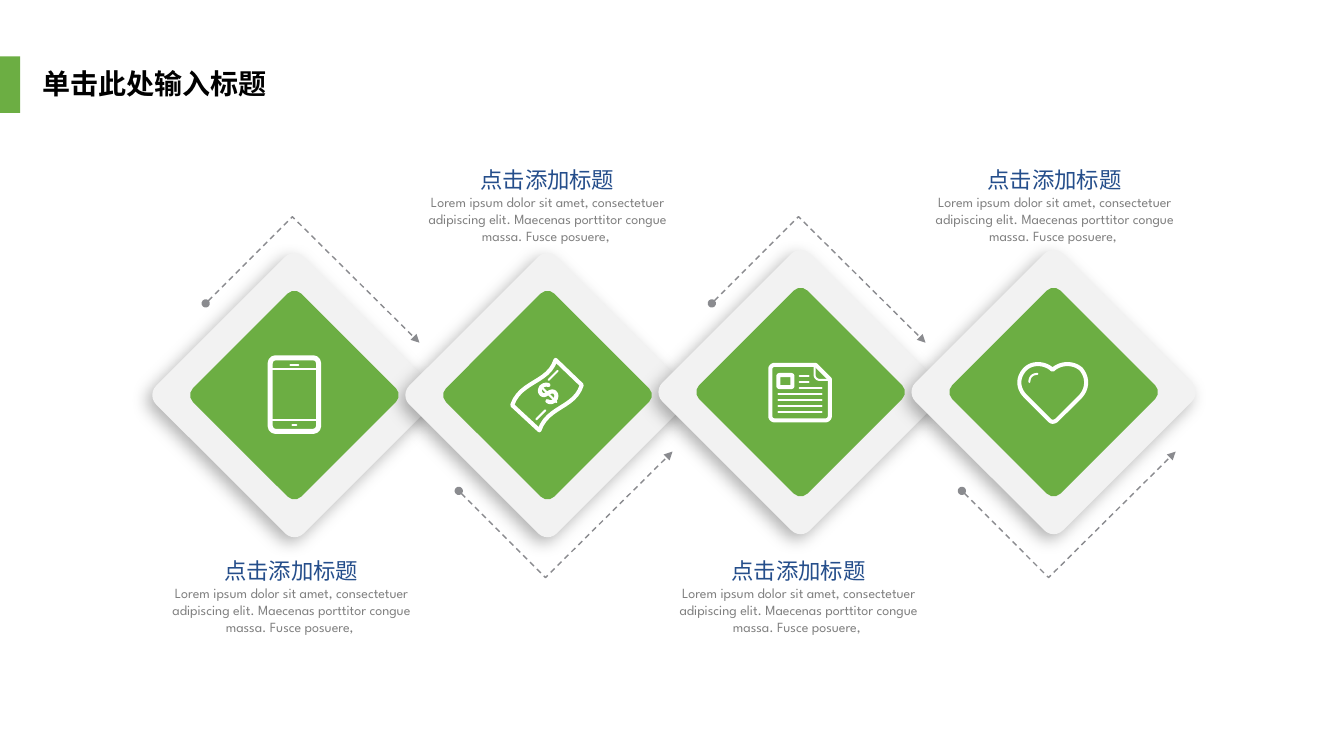
from dataclasses import dataclass

from lxml.etree import SubElement
from pptx import Presentation
from pptx.dml.color import RGBColor
from pptx.enum.dml import MSO_LINE_DASH_STYLE as Dash
from pptx.enum.shapes import MSO_CONNECTOR as Connector, MSO_SHAPE as Preset
from pptx.enum.text import MSO_AUTO_SIZE as AutoSize, PP_ALIGN as Align
from pptx.oxml.ns import qn
from pptx.util import Pt

PX = 9144
BODY = ("Lorem ipsum dolor sit amet, consectetuer adipiscing elit. "
        "Maecenas porttitor congue massa. Fusce posuere, ")


@dataclass(frozen=True)
class Theme:
    green: str = "6CAE43"
    frame: str = "F2F2F2"
    arrow: str = "8A8B8F"
    heading: str = "254E8B"
    body: str = "808080"
    black: str = "000000"
    white: str = "FFFFFF"
    cjk: str = "Noto Sans CJK SC"
    latin: str = "League Spartan"
    title_size: int = 20
    heading_size: int = 16
    body_size: int = 10


THEME = Theme()


def emu(*lengths):
    return [round(length * PX) for length in lengths]


def add_block(shapes, preset, box, color):
    block = shapes.add_shape(preset, *emu(*box))
    block.shadow.inherit = False
    block.fill.solid()
    block.fill.fore_color.rgb = RGBColor.from_string(color)
    block.line.fill.background()
    return block


def add_text(shapes, box, text, font, size, color, bold=False, align=Align.CENTER):
    box_shape = shapes.add_textbox(*emu(*box))
    frame = box_shape.text_frame
    frame.word_wrap = True
    frame.auto_size = AutoSize.SHAPE_TO_FIT_TEXT
    para = frame.paragraphs[0]
    para.alignment = align
    span = para.add_run()
    span.text = text
    span.font.name = font
    span.font.size = Pt(size)
    span.font.bold = bold
    span.font.color.rgb = RGBColor.from_string(color)
    SubElement(span.font._element, qn("a:ea"), typeface=font)


def style_line(shape, color, width):
    shape.line.color.rgb = RGBColor.from_string(color)
    shape.line.width = round(width * PX)
    return shape.line._get_or_add_ln()


def add_path(shapes, center, start, steps, closed=False):
    points, last = [start], start
    for step in steps:
        if len(step) == 2:
            points.append(step)
        else:
            first, second, end = step
            for n in range(1, 13):
                t = n / 12
                points.append(tuple(
                    (1 - t) ** 3 * a + 3 * (1 - t) ** 2 * t * b
                    + 3 * (1 - t) * t ** 2 * c + t ** 3 * d
                    for a, b, c, d in zip(last, first, second, end)))
        last = points[-1]
    placed = [emu(center[0] + x, center[1] + y) for x, y in points]
    builder = shapes.build_freeform(*placed[0], scale=1)
    builder.add_line_segments(placed[1:], close=closed)
    path = builder.convert_to_shape()
    path.shadow.inherit = False
    path.fill.background()
    return path


def add_stroke(shapes, center, width, start, steps, closed=False):
    path = add_path(shapes, center, start, steps, closed)
    ln = style_line(path, THEME.white, width)
    ln.set("cap", "rnd")
    SubElement(ln, qn("a:round"))


def add_bar(shapes, center, width, x1, y1, x2, y2):
    x, y = center
    bar = shapes.add_connector(Connector.STRAIGHT, *emu(x + x1, y + y1, x + x2, y + y2))
    style_line(bar, THEME.white, width).set("cap", "rnd")
    SubElement(bar._element.spPr, qn("a:effectLst"))


def add_rounded_outline(shapes, center, width, box, radius):
    left, top, wide, high = box
    outline = shapes.add_shape(
        Preset.ROUNDED_RECTANGLE, *emu(center[0] + left, center[1] + top, wide, high))
    outline.adjustments[0] = radius
    outline.shadow.inherit = False
    outline.fill.background()
    style_line(outline, THEME.white, width)


def draw_phone(shapes, center):
    add_rounded_outline(shapes, center, 5, (-24, -37, 48, 73), 0.11)
    for width, half, y in ((2, 22, -26), (2, 4, -30), (2, 22, 25), (2, 2, 30)):
        add_bar(shapes, center, width, -half, y, half, y)


def draw_banknote(shapes, center):
    add_stroke(shapes, center, 4, (-8, 35), [
        (-35, 10), ((-27, -14), (1, -12), (8, -35)),
        (34, -10), ((27, 13), (0, 11), (-8, 35))], closed=True)
    add_stroke(shapes, center, 4, (1, -10), [
        ((-5, -12), (-10, -5), (-6, -1)), ((-2, 3), (2, -6), (7, -3)),
        ((12, 1), (6, 10), (0, 6))])
    for bar in ((-7, -9, 9, 7), (-11, 24, -2, 15), (1, -15, 10, -24)):
        add_bar(shapes, center, 2, *bar)


def draw_newspaper(shapes, center):
    add_stroke(shapes, center, 4, (-26, -27), [
        (15, -27), (29, -13), (29, 24), ((29, 26), (27, 28), (25, 28)),
        (-26, 28), ((-28, 28), (-30, 26), (-30, 24)),
        (-30, -23), ((-30, -25), (-28, -27), (-26, -27))], closed=True)
    add_stroke(shapes, center, 2, (14, -25), [
        (14, -17), ((14, -14), (17, -12), (19, -12)), (27, -12)])
    add_rounded_outline(shapes, center, 4, (-22, -17, 14, 12), 0.1)
    rows = [(-1, 8), (-1, 8), (-1, 21)] + [(-22, 21)] * 4
    for row, (left, right) in enumerate(rows):
        y = -16 + 6 * row
        add_bar(shapes, center, 2, left, y, right, y)


def draw_heart(shapes, center):
    add_stroke(shapes, center, 4, (-1, -22), [
        ((6, -29), (19, -30), (27, -23)), ((34, -15), (34, -4), (27, 4)),
        (3, 28), ((0, 30), (-2, 30), (-4, 28)), (-28, 4),
        ((-36, -4), (-36, -15), (-28, -23)), ((-21, -30), (-8, -29), (-1, -22))],
        closed=True)
    add_stroke(shapes, center, 2, (-24, -10), [((-24, -15), (-21, -18), (-16, -18))])


def add_diamond(shapes, center, side, color):
    x, y = center
    diamond = add_block(shapes, Preset.ROUNDED_RECTANGLE,
                        (x - side / 2, y - side / 2, side, side), color)
    diamond.adjustments[0] = 0.063
    diamond.rotation = 45
    return diamond


def add_frame(shapes, center):
    frame = add_diamond(shapes, center, 207, THEME.frame)
    effects = frame._element.spPr.find(qn("a:effectLst"))
    shadow = SubElement(effects, qn("a:outerShdw"), blurRad=str(Pt(12)), dist=str(Pt(5)),
                        dir=str(135 * 60000), algn="ctr", rotWithShape="0")
    tone = SubElement(shadow, qn("a:srgbClr"), val=THEME.black)
    SubElement(tone, qn("a:alpha"), val="30000")


def add_arrow(shapes, center, side):
    arrow = add_path(shapes, center, (-88, 93 * side), [(-2, 179 * side), (124, 54 * side)])
    ln = style_line(arrow, THEME.arrow, 1.39)
    arrow.line.dash_style = Dash.DASH
    SubElement(ln, qn("a:headEnd"), type="oval")
    SubElement(ln, qn("a:tailEnd"), type="triangle")


def add_caption(shapes, center, top):
    group = shapes.add_group_shape().shapes
    add_text(group, (center - 105, top, 210, 37), "点击添加标题",
             THEME.cjk, THEME.heading_size, THEME.heading)
    add_text(group, (center - 146, top + 27, 292, 61), BODY,
             THEME.latin, THEME.body_size, THEME.body)


def add_header(shapes, box):
    left, top, wide, high = box
    add_block(shapes, Preset.RECTANGLE, (left, top, 20, high), THEME.green)
    add_text(shapes, (left + 32, top + 5, wide - 32, 44), "单击此处输入标题", THEME.cjk,
             THEME.title_size, THEME.black, bold=True, align=Align.LEFT)


def add_steps(shapes, box):
    left, top, wide, high = box
    icons = (draw_phone, draw_banknote, draw_newspaper, draw_heart)
    pitch, axis = 251, top + high // 2
    centers = [(left + 149 + pitch * i, axis - (2 if i < 2 else 5)) for i in range(4)]
    for center in centers:
        add_frame(shapes, center)
    for center in centers:
        add_diamond(shapes, center, 152, THEME.green)
    for i, (x, _) in enumerate(centers):
        add_arrow(shapes, (x - i // 3 * 3, axis), 1 if i % 2 else -1)
    for i, x in enumerate((289, 543, 792, 1046)):
        add_caption(shapes, left - 143 + x, top if i % 2 else top + 388)
    for draw, center in zip(icons, centers):
        draw(shapes.add_group_shape().shapes, center)


def main():
    deck = Presentation()
    deck.slide_width, deck.slide_height = emu(1333, 750)
    page = deck.slides.add_slide(deck.slide_layouts[6])
    add_steps(page.shapes, (143, 160, 1049, 468))
    add_header(page.shapes, (0, 56, 325, 56))
    deck.save("out.pptx")


if __name__ == "__main__":
    main()
